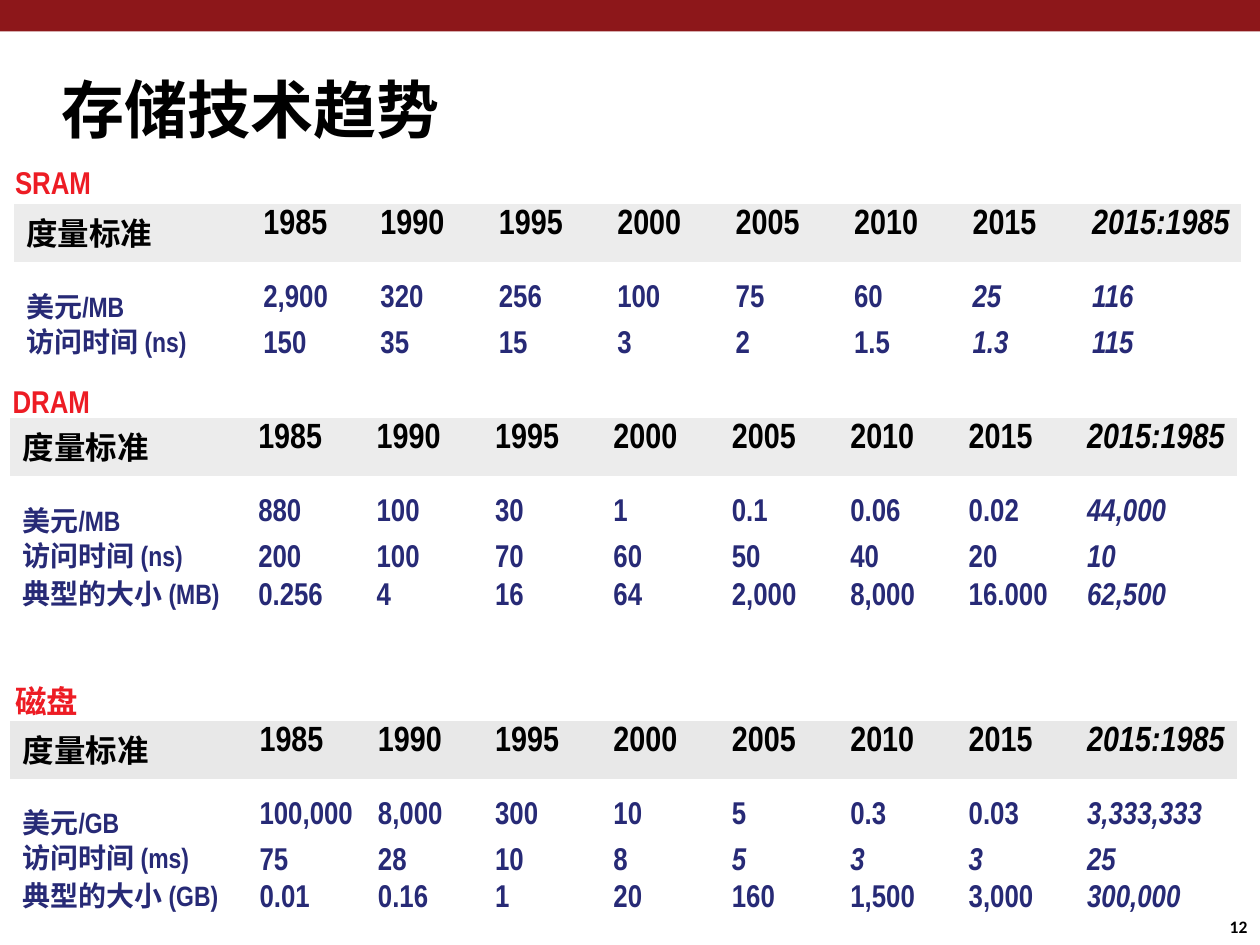
import pptx
import pptx.dml.color
import pptx.enum.shapes
import pptx.util

Inches, Pt = pptx.util.Inches, pptx.util.Pt
RGBColor = pptx.dml.color.RGBColor

CRIMSON = RGBColor(0x8D, 0x17, 0x1A)
RED = RGBColor(0xED, 0x1C, 0x24)
NAVY = RGBColor(0x27, 0x2A, 0x76)
BLACK = RGBColor(0, 0, 0)
LIGHT_GRAY = RGBColor(0xEC, 0xEC, 0xEC)
GRAY = RGBColor(0xE8, 0xE8, 0xE8)
PLAIN_TABLE = "{2D5ABB26-0587-4C30-8999-92F81FD0307C}"

HEADER = ["度量标准", "1985", "1990", "1995", "2000", "2005", "2010", "2015", "2015:1985"]
RATIO = len(HEADER) - 1
YEAR_WIDTH = 0.94

SECTIONS = [
    {
        "name": "SRAM", "name_at": (0.11, 1.29), "table_at": (0.11, 1.62), "band": LIGHT_GRAY,
        "columns": [1.6, 1.1] + [YEAR_WIDTH] * 6 + [1.4],
        "indents": [0.1, 0.38] + [0.21] * 6 + [0.22],
        "heights": [0.46, 0.49, 0.36],
        "metrics": [
            (["美元/MB", "2,900", "320", "256", "100", "75", "60", "25", "116"], RATIO - 1),
            (["访问时间 (ns)", "150", "35", "15", "3", "2", "1.5", "1.3", "115"], RATIO - 1),
        ],
    },
    {
        "name": "DRAM", "name_at": (0.09, 3.03), "table_at": (0.08, 3.32), "band": LIGHT_GRAY,
        "columns": [1.84, 0.86] + [YEAR_WIDTH] * 5 + [0.99, 1.35],
        "indents": [0.1, 0.13] + [0.21] * 6 + [0.16],
        "heights": [0.46, 0.49, 0.3, 0.66],
        "metrics": [
            (["美元/MB", "880", "100", "30", "1", "0.1", "0.06", "0.02", "44,000"], RATIO),
            (["访问时间 (ns)", "200", "100", "70", "60", "50", "40", "20", "10"], RATIO),
            (["典型的大小 (MB)", "0.256", "4", "16", "64", "2,000", "8,000", "16.000", "62,500"], RATIO),
        ],
    },
    {
        "name": "磁盘", "name_at": (0.11, 5.41), "table_at": (0.08, 5.72), "band": GRAY,
        "columns": [1.84, 0.98, 0.82] + [YEAR_WIDTH] * 5 + [1.4],
        "indents": [0.1, 0.14, 0.1] + [0.21] * 6,
        "heights": [0.46, 0.49, 0.3, 0.36],
        "metrics": [
            (["美元/GB", "100,000", "8,000", "300", "10", "5", "0.3", "0.03", "3,333,333"], RATIO),
            (["访问时间 (ms)", "75", "28", "10", "8", "5", "3", "3", "25"], 5),
            (["典型的大小 (GB)", "0.01", "0.16", "1", "20", "160", "1,500", "3,000", "300,000"], RATIO),
        ],
    },
]


def write(paragraph, text, size, color, indent=0.01, face="Arial Narrow", italic=False):
    paragraph.text = text
    font = paragraph.font
    font.name, font.size, font.bold, font.italic = face, Pt(size), True, italic
    font.color.rgb = color
    properties = paragraph._p.get_or_add_pPr()
    properties.set("marL", str(Inches(indent)))
    properties.set("indent", "0")


def add_label(slide, text, box, size, color, **style):
    frame = slide.shapes.add_textbox(*map(Inches, box)).text_frame
    frame.margin_left = frame.margin_top = frame.margin_right = frame.margin_bottom = 0
    frame.word_wrap = True
    write(frame.paragraphs[0], text, size, color, **style)
    return frame.paragraphs[0]


def fill_cell(cell, text, row, column, section, italic):
    cell.margin_left = cell.margin_right = cell.margin_bottom = 0
    cell.margin_top = Inches((0.04, 0.18, 0, 0)[row])
    if row == 0:
        cell.fill.solid()
        cell.fill.fore_color.rgb = section["band"]
    else:
        cell.fill.background()
    value_size = 20 if row == 0 else 18
    size = value_size if column else value_size - 2
    paragraph = cell.text_frame.paragraphs[0]
    write(paragraph, text, size, NAVY if row else BLACK, section["indents"][column], italic=italic)
    if row < 2:
        paragraph.space_before = Pt((3, 13.1)[row])
    else:
        paragraph.line_spacing = Pt(20.9)


def add_section(slide, section):
    add_label(slide, section["name"], (*section["name_at"], 0.64, 0.3), 18, RED)
    widths, heights = section["columns"], section["heights"]
    extent = (*section["table_at"], sum(widths), sum(heights))
    table = slide.shapes.add_table(len(heights), len(widths), *map(Inches, extent)).table
    table.first_row = table.horz_banding = False
    table._tbl.tblPr.find(pptx.oxml.ns.qn("a:tableStyleId")).text = PLAIN_TABLE
    for column, width in zip(table.columns, widths):
        column.width = Inches(width)
    rows = [(HEADER, RATIO)] + section["metrics"]
    for row, ((texts, italic_from), height) in enumerate(zip(rows, heights)):
        table.rows[row].height = Inches(height)
        for column, text in enumerate(texts):
            fill_cell(table.cell(row, column), text, row, column, section, column >= italic_from)


def main():
    deck = pptx.Presentation()
    deck.slide_width, deck.slide_height = Inches(10), Inches(7.5)
    slide = deck.slides.add_slide(deck.slide_layouts[6])

    top_band = slide.shapes.add_shape(
        pptx.enum.shapes.MSO_SHAPE.RECTANGLE, 0, 0, deck.slide_width, Inches(0.25))
    top_band.shadow.inherit = False
    top_band.fill.solid()
    top_band.fill.fore_color.rgb = CRIMSON
    top_band.line.fill.background()

    page_number = add_label(slide, "12", (9.73, 7.29, 0.2, 0.17), 10, BLACK, indent=0.03, face="Calibri")
    page_number.line_spacing = Pt(10.4)
    add_label(slide, "存储技术趋势", (0.48, 0.56, 3.15, 0.6), 36, BLACK, face="Calibri")
    for section in SECTIONS:
        add_section(slide, section)

    deck.save("out.pptx")


if __name__ == "__main__":
    main()
